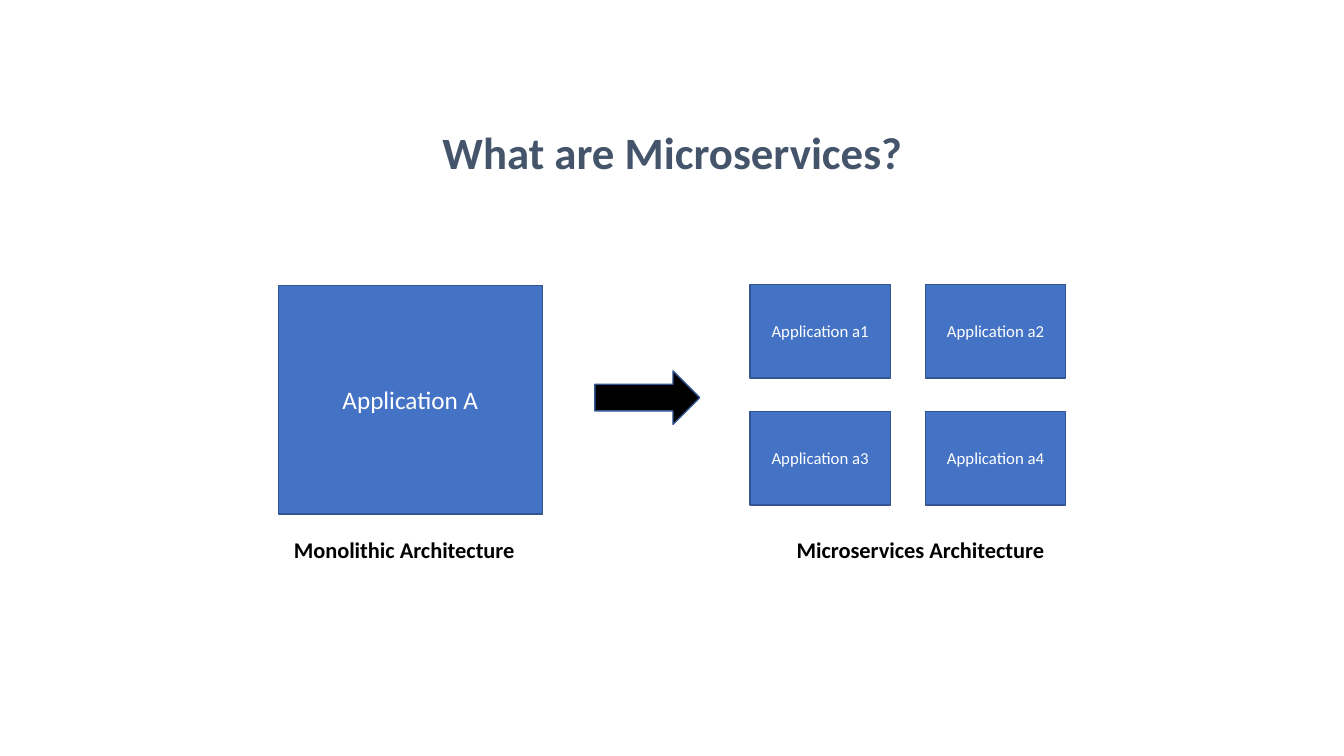
from pptx import Presentation
from pptx.dml.color import RGBColor
from pptx.enum.shapes import MSO_SHAPE
from pptx.enum.text import MSO_ANCHOR, PP_ALIGN
from pptx.util import Inches, Pt

BLUE, EDGE, SLATE = "4472C4", "325491", "44546A"
BLACK, WHITE = "000000", "FFFFFF"


def paint(color, code):
    """Set a colour format from a hex string."""
    color.rgb = RGBColor.from_string(code)


def write(shape, text, size=12, color=WHITE, bold=False,
          anchor=MSO_ANCHOR.MIDDLE, spacing=1.0):
    """Put centred, formatted text in a shape."""
    frame = shape.text_frame
    frame.word_wrap = True
    frame.vertical_anchor = anchor
    para = frame.paragraphs[0]
    para.alignment = PP_ALIGN.CENTER
    para.line_spacing = spacing
    run = para.add_run()
    run.text = text
    run.font.name = "Calibri"
    run.font.size = Pt(size)
    run.font.bold = bold
    paint(run.font.color, color)


class Deck:
    """Hold the style and the current slide."""

    def __init__(self):
        """Open a wide deck with one title-only slide."""
        self.show = Presentation()
        self.show.slide_width = Inches(13.33)
        self.show.slide_height = Inches(7.5)
        self.slide = self.show.slides.add_slide(self.show.slide_layouts[5])

    def title(self, text, x, y, w, h):
        """Move and fill the title placeholder."""
        title = self.slide.shapes.title
        title.left, title.top = Inches(x), Inches(y)
        title.width, title.height = Inches(w), Inches(h)
        write(title, text, size=32, color=SLATE, bold=True,
              anchor=MSO_ANCHOR.BOTTOM, spacing=0.9)

    def shape(self, kind, x, y, w, h, fill=BLUE):
        """Add a filled, outlined preset shape."""
        shape = self.slide.shapes.add_shape(
            kind, Inches(x), Inches(y), Inches(w), Inches(h))
        shape.shadow.inherit = False
        shape.fill.solid()
        paint(shape.fill.fore_color, fill)
        paint(shape.line.color, EDGE)
        shape.line.width = Pt(1)
        return shape

    def box(self, text, x, y, w, h, size=12):
        """Add a labelled application box."""
        write(self.shape(MSO_SHAPE.RECTANGLE, x, y, w, h), text, size=size)

    def caption(self, text, mid, y, w=3, h=0.4):
        """Add a bold caption centred on mid."""
        label = self.slide.shapes.add_textbox(
            Inches(mid - w / 2), Inches(y), Inches(w), Inches(h))
        write(label, text, size=16, color=BLACK, bold=True)


deck = Deck()
deck.title("What are Microservices?", 1.67, 1.23, 10, 0.6)

deck.box("Application A", 2.76, 2.83, 2.62, 2.27, size=18)
deck.shape(MSO_SHAPE.RIGHT_ARROW, 5.9, 3.68, 1.04, 0.53, fill=BLACK)
for i in range(4):
    row, col = divmod(i, 2)
    deck.box(f"Application a{i + 1}",
             7.44 + 1.74 * col, 2.82 + 1.26 * row, 1.39, 0.93)

deck.caption("Monolithic Architecture", 4.01, 5.25)
deck.caption("Microservices Architecture", 9.13, 5.25)

deck.show.save("out.pptx")
